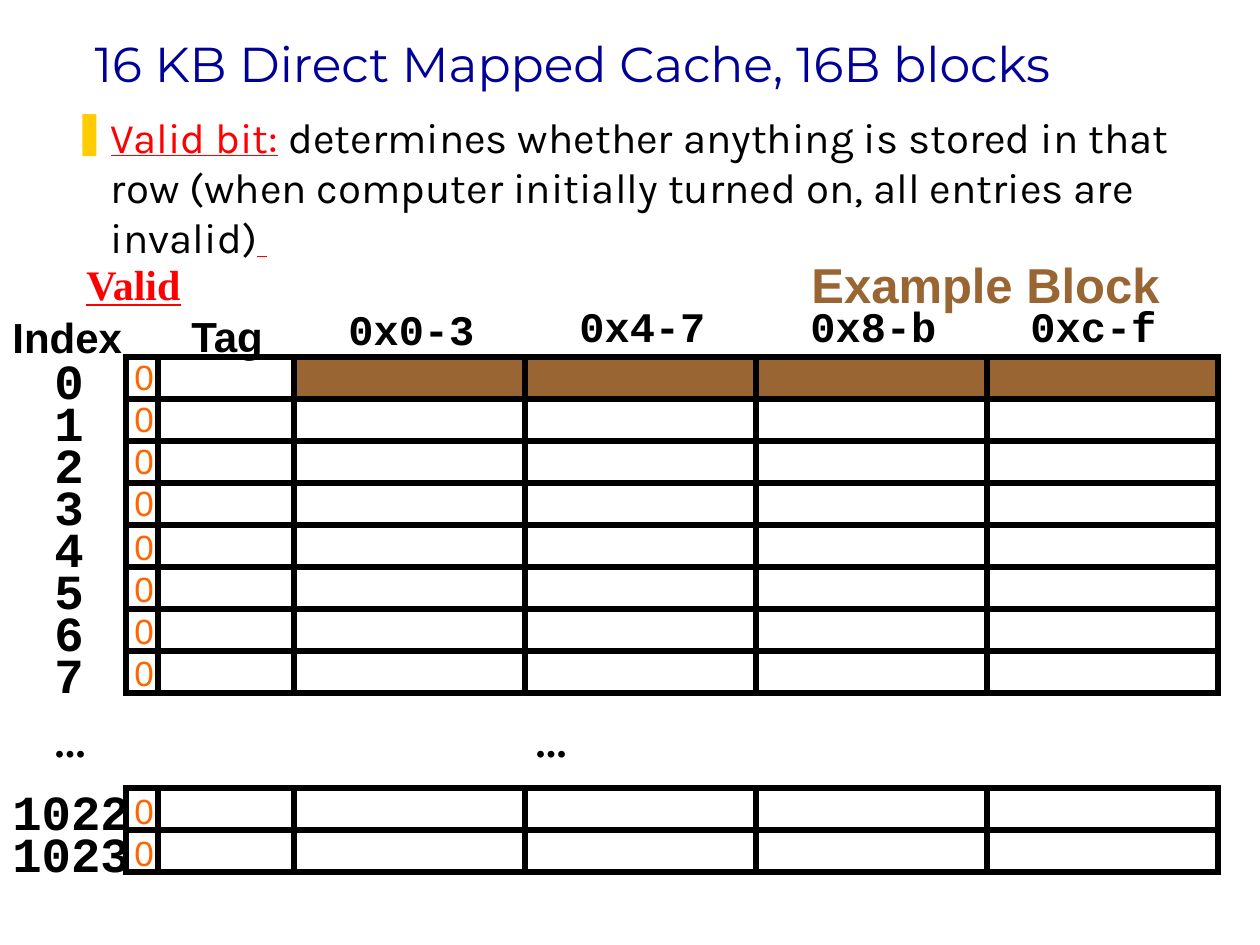
from dataclasses import dataclass

from lxml import etree
from pptx import Presentation
from pptx import util as u
from pptx.dml.color import RGBColor
from pptx.enum import shapes, text
from pptx.oxml.ns import qn

PX_PER_INCH = 126
COLORS = {
    "black": "000000",
    "title": "000099",
    "valid": "FF0000",
    "bit": "FF6600",
    "bullet": "FFCC00",
    "block": "996633",
}
SANS, MONO, SERIF = "Arial", "Courier New", "Times New Roman"

ROW_HEIGHT = 42
TABLE_TOP, TABLE_END_TOP = 357, 788
VALID_LEFT, TAG_LEFT, DATA_LEFT, DATA_WIDTH = 126, 158, 294, 231
COLUMNS = [(VALID_LEFT, TAG_LEFT - VALID_LEFT), (TAG_LEFT, DATA_LEFT - TAG_LEFT)] + [
    (DATA_LEFT + i * DATA_WIDTH, DATA_WIDTH) for i in range(4)
]


@dataclass
class CacheRow:
    index: str
    top: int
    bit_rise: int  # how far the valid bit's box starts above the row


@dataclass
class Label:
    text: str
    left: int
    top: int
    width: int
    height: int
    font: str
    size: int = 24
    color: str = "black"
    bold: bool = True
    underline: bool = False


ROWS = [CacheRow(str(i), TABLE_TOP + i * ROW_HEIGHT, 8 if i < 4 else 6) for i in range(8)]
ROWS += [CacheRow(str(1022 + i), TABLE_END_TOP + i * ROW_HEIGHT, 5) for i in range(2)]

LABELS = [
    Label("Example Block", 799, 248, 373, 72, SANS, size=28, color="block"),
    Label("Valid", 74, 252, 123, 63, SERIF, color="valid", underline=True),
    Label("Index", 0, 305, 135, 63, SANS),
    Label("Tag", 179, 304, 100, 63, SANS),
    Label("0x0-3", 336, 297, 151, 63, MONO),
    Label("0x4-7", 567, 294, 151, 63, MONO),
    Label("0x8-b", 798, 294, 151, 63, MONO),
    Label("0xc-f", 1018, 294, 151, 63, MONO),
    Label("...", 42, 709, 57, 63, SERIF),
    Label("...", 523, 709, 57, 63, SERIF),
]


def px(length: int) -> int:
    return round(length * u.Inches(1) / PX_PER_INCH)


def rgb(name: str) -> RGBColor:
    return RGBColor.from_string(COLORS[name])


def format_font(font, name: str, size: int, color: str, bold=False, underline=False) -> None:
    font.name = name
    font.size = u.Pt(size)
    font.color.rgb = rgb(color)
    font.bold = bold
    font.underline = underline


def add_rectangle(slide, left: int, top: int, width: int, line_width: int, fill=None) -> None:
    """Add a square-cornered box one table row high."""
    shape = slide.shapes.add_shape(
        shapes.MSO_SHAPE.RECTANGLE, px(left), px(top), px(width), px(ROW_HEIGHT)
    )
    shape.shadow.inherit = False
    if fill:
        shape.fill.solid()
        shape.fill.fore_color.rgb = rgb(fill)
    else:
        shape.fill.background()
    shape.line.color.rgb = rgb("black")
    shape.line.width = u.Pt(line_width)
    etree.SubElement(shape.line._get_or_add_ln(), qn("a:miter"), lim="800000")


def add_label(slide, label: Label) -> None:
    box = slide.shapes.add_textbox(
        px(label.left), px(label.top), px(label.width), px(label.height)
    )
    frame = box.text_frame
    frame.word_wrap = False
    frame.auto_size = text.MSO_AUTO_SIZE.SHAPE_TO_FIT_TEXT
    frame.text = label.text
    format_font(frame.paragraphs[0].runs[0].font, label.font, label.size,
                label.color, label.bold, label.underline)


def add_title(slide) -> None:
    title = slide.shapes.title
    title.left, title.top, title.width, title.height = px(82), px(33), px(1115), px(66)
    frame = title.text_frame
    frame.text = "16 KB Direct Mapped Cache, 16B blocks"
    frame.auto_size = text.MSO_AUTO_SIZE.NONE
    frame.vertical_anchor = text.MSO_ANCHOR.BOTTOM
    paragraph = frame.paragraphs[0]
    paragraph.alignment = text.PP_ALIGN.LEFT
    format_font(paragraph.runs[0].font, "Montserrat", 28, "title")


def add_definition(slide) -> None:
    frame = slide.shapes.add_textbox(px(63), px(107), px(1134), px(159)).text_frame
    frame.word_wrap = True
    frame.margin_left = frame.margin_right = px(9)
    frame.margin_top = frame.margin_bottom = px(4)
    paragraph = frame.paragraphs[0]
    properties = paragraph._p.get_or_add_pPr()
    properties.set("marL", str(px(39)))
    properties.set("indent", str(-px(39)))
    bullet_color = etree.SubElement(properties, qn("a:buClr"))
    etree.SubElement(bullet_color, qn("a:srgbClr"), val=COLORS["bullet"])
    etree.SubElement(properties, qn("a:buChar"), char="❚")
    for words, color, underline in (
        ("Valid bit:", "valid", True),
        (" determines whether anything is stored in that row "
         "(when computer initially turned on, all entries are invalid)", "black", False),
        (" ", "valid", True),
    ):
        run = paragraph.add_run()
        run.text = words
        format_font(run.font, "Karla", 24, color, underline=underline)


def add_cache_row(slide, row: CacheRow) -> None:
    for left, width in COLUMNS:
        add_rectangle(slide, left, row.top, width, line_width=3)
    left, width = (42, 55) if len(row.index) == 1 else (0, 146)
    add_label(slide, Label(row.index, left, row.top - 13, width, 72, MONO, size=28))
    add_label(slide, Label("0", 122, row.top - row.bit_rise, 44, 55, SANS,
                           size=20, color="bit", bold=False))


def main() -> None:
    presentation = Presentation()
    presentation.slide_width, presentation.slide_height = u.Inches(10), u.Inches(7.5)
    slide = presentation.slides.add_slide(presentation.slide_layouts[5])
    add_title(slide)
    add_definition(slide)
    add_rectangle(slide, DATA_LEFT, TABLE_TOP, 4 * DATA_WIDTH, line_width=1, fill="block")
    for row in ROWS:
        add_cache_row(slide, row)
    for label in LABELS:
        add_label(slide, label)
    presentation.save("out.pptx")


if __name__ == "__main__":
    main()
